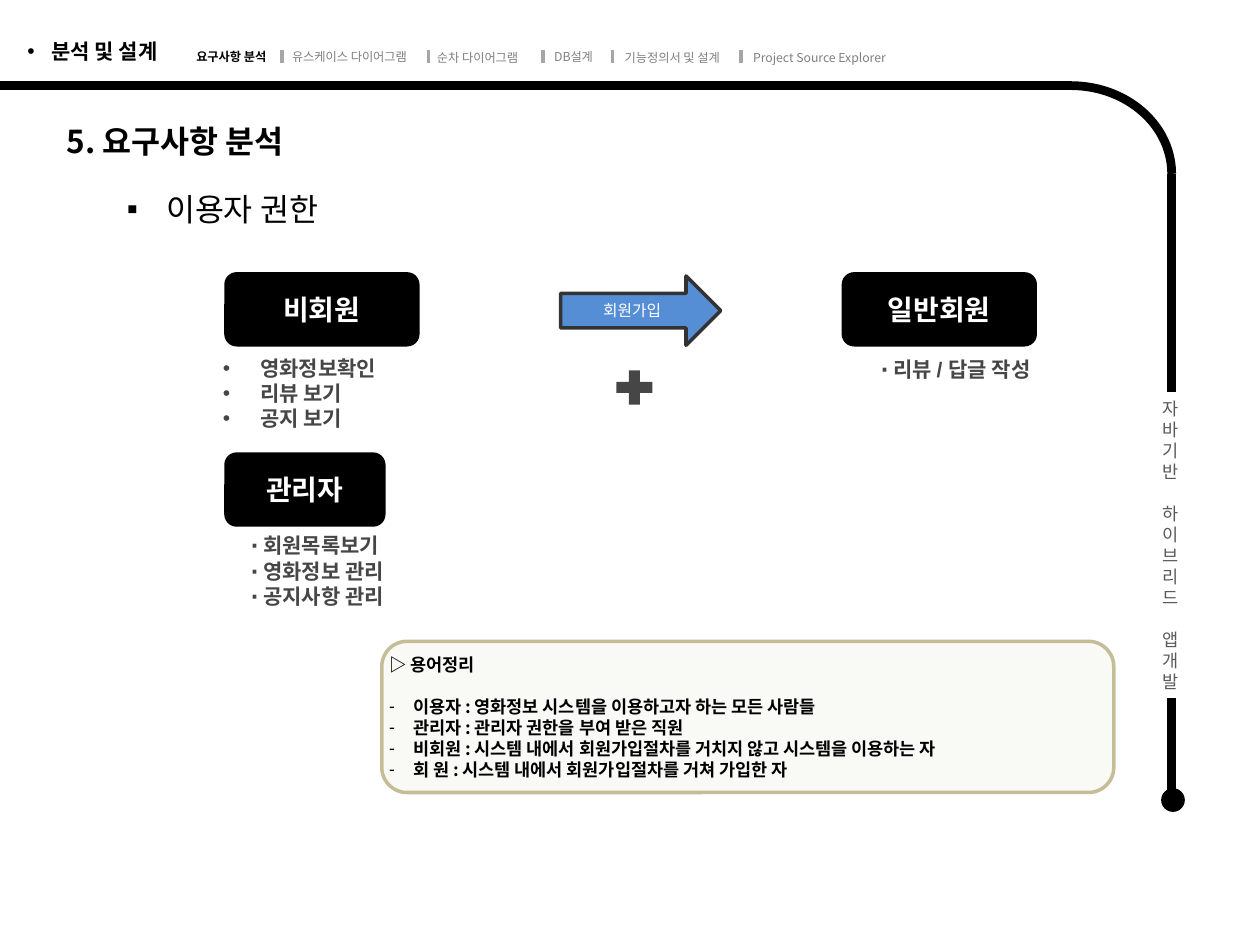
"""Build the user-permission requirements slide."""
from dataclasses import dataclass

from lxml import etree
from pptx import Presentation
from pptx.dml.color import RGBColor
from pptx.enum.shapes import MSO_CONNECTOR, MSO_SHAPE
from pptx.enum.text import MSO_ANCHOR, MSO_AUTO_SIZE, PP_ALIGN
from pptx.oxml.ns import qn
from pptx.util import Inches, Pt

LEFT, CENTER = PP_ALIGN.LEFT, PP_ALIGN.CENTER
TOP, MIDDLE = MSO_ANCHOR.TOP, MSO_ANCHOR.MIDDLE
GROW = MSO_AUTO_SIZE.SHAPE_TO_FIT_TEXT
STRAIGHT = MSO_CONNECTOR.STRAIGHT
ROUNDED, ARROW, PLUS = MSO_SHAPE.ROUNDED_RECTANGLE, MSO_SHAPE.RIGHT_ARROW, MSO_SHAPE.MATH_PLUS
ARC, OVAL = MSO_SHAPE.ARC, MSO_SHAPE.OVAL
KOREAN = "Noto Sans CJK KR"
BLACK, WHITE, GREY, DARK = "000000", "FFFFFF", "808080", "464646"


@dataclass(frozen=True)
class Style:
    size: float
    color: str = BLACK
    bold: bool = False
    font: str = KOREAN
    align: int = LEFT


@dataclass(frozen=True)
class Line:
    text: str
    bullet: str = ""
    margin: float = 0
    indent: float = 0
    before: float = 0


@dataclass(frozen=True)
class Role:
    name: str
    left: float
    top: float
    width: float


@dataclass(frozen=True)
class Tab:
    text: str
    left: float
    top: float
    width: float


ROLES = [Role("비회원", 1.78, 2.16, 1.55), Role("일반회원", 6.68, 2.16, 1.55),
         Role("관리자", 1.78, 3.59, 1.28)]
TABS = [Tab("요구사항 분석", 1.46, 0.34, 0.87), Tab("유스케이스 다이어그램", 2.22, 0.34, 1.26),
        Tab("순차 다이어그램", 3.37, 0.35, 0.94), Tab("DB설계", 4.3, 0.34, 0.55),
        Tab("기능정의서 및 설계", 4.86, 0.35, 1.18),
        Tab("Project Source Explorer", 5.88, 0.35, 1.34)]
DIVIDERS = [2.24, 3.4, 4.31, 4.86, 5.88]
FRAME_LINES = [(0, 0.68, 8.51, 0.68), (9.3, 3.11, 9.3, 1.38), (9.3, 6.35, 9.3, 5.54)]
SIDE_WORDS = ["자바기반", "하이브리드", "앱개발"]
TERMS = ["이용자 : 영화정보 시스템을 이용하고자 하는 모든 사람들",
         "관리자 : 관리자 권한을 부여 받은 직원",
         "비회원 : 시스템 내에서 회원가입절차를 거치지 않고 시스템을 이용하는 자",
         "회 원 : 시스템 내에서 회원가입절차를 거쳐 가입한 자"]


def rgb(color: str) -> RGBColor:
    return RGBColor.from_string(color)


def write(frame, lines: list[Line], style: Style) -> None:
    for number, line in enumerate(lines):
        para = frame.paragraphs[0] if number == 0 else frame.add_paragraph()
        para.alignment = style.align
        if line.before:
            para.space_before = Pt(line.before)
        if line.bullet:
            props = para._p.get_or_add_pPr()
            props.set("marL", str(Inches(line.margin)))
            props.set("indent", str(Inches(line.indent)))
            etree.SubElement(props, qn("a:buFont")).set("typeface", "Arial")
            etree.SubElement(props, qn("a:buChar")).set("char", line.bullet)
        span = para.add_run()
        span.text = line.text
        formats = {"size": Pt(style.size), "bold": style.bold, "name": style.font}
        for name, value in formats.items():
            setattr(span.font, name, value)
        span.font.color.rgb = rgb(style.color)
        etree.SubElement(span._r.get_or_add_rPr(), qn("a:ea")).set("typeface", KOREAN)


def add_text(page, place: tuple, lines: list[Line], style: Style, wrap: bool = True) -> None:
    frame = page.shapes.add_textbox(*map(Inches, place)).text_frame
    frame.word_wrap = wrap
    frame.auto_size = GROW
    write(frame, lines, style)


def add_box(page, kind: int, place: tuple, fill: str = "", border: str = "", weight: float = 2):
    box = page.shapes.add_shape(kind, *map(Inches, place))
    box.shadow.inherit = False
    if fill:
        box.fill.solid()
        box.fill.fore_color.rgb = rgb(fill)
    else:
        box.fill.background()
    if border:
        box.line.color.rgb = rgb(border)
        box.line.width = Pt(weight)
    else:
        box.line.fill.background()
    box.text_frame.vertical_anchor = MIDDLE
    return box


def add_line(page, ends: tuple, color: str, weight: float) -> None:
    line = page.shapes.add_connector(STRAIGHT, *map(Inches, ends))
    line.line.color.rgb = rgb(color)
    line.line.width = Pt(weight)
    etree.SubElement(line._element.spPr, qn("a:effectLst"))


def add_frame(page) -> None:
    for ends in FRAME_LINES:
        add_line(page, ends, BLACK, 5)
    add_box(page, ARC, (7.7, 0.68, 1.6, 1.4), border=BLACK, weight=5)
    add_box(page, OVAL, (9.23, 6.27, 0.16, 0.16), BLACK, BLACK)
    letters = [Line(letter, before=12 if row and not place else 0)
               for row, word in enumerate(SIDE_WORDS) for place, letter in enumerate(word)]
    add_text(page, (9.13, 3.11, 0.39, 2.46), letters, Style(10, "595959"))


def add_navigation(page) -> None:
    add_text(page, (0.12, 0.26, 1.5, 0.3), [Line("분석 및 설계", "•", 0.19, -0.19)],
             Style(12, bold=True))
    for number, tab in enumerate(TABS):
        style = Style(7, GREY) if number else Style(7, bold=True)
        add_text(page, (tab.left, tab.top, tab.width, 0.22), [Line(tab.text)], style)
    for x in DIVIDERS:
        add_line(page, (x, 0.5, x, 0.4), "A6A6A6", 2)


def add_title(page) -> None:
    title = page.shapes.title
    place = {"left": 0.43, "top": 0.92, "width": 2.36, "height": 0.4}
    for name, value in place.items():
        setattr(title, name, Inches(value))
    frame = title.text_frame
    for name, value in {"vertical_anchor": TOP, "word_wrap": True, "auto_size": GROW}.items():
        setattr(frame, name, value)
    write(frame, [Line("5. 요구사항 분석")], Style(18, bold=True))


def add_roles(page) -> None:
    for role in ROLES:
        box = add_box(page, ROUNDED, (role.left, role.top, role.width, 0.59), BLACK)
        write(box.text_frame, [Line(role.name)], Style(16, WHITE, True, align=CENTER))
    arrow = add_box(page, ARROW, (4.45, 2.19, 1.27, 0.55), "558ED5", "333333")
    write(arrow.text_frame, [Line("회원가입")], Style(9, WHITE, align=CENTER))
    add_box(page, PLUS, (4.84, 2.89, 0.39, 0.37), DARK)
    style = Style(12, DARK, True, "Arial")
    guest = [Line(f" {text}", "•", 0.31, -0.26) for text in ("영화정보확인", "리뷰 보기", "공지 보기")]
    admin = [Line(f"∙ {text}") for text in ("회원목록보기", "영화정보 관리", "공지사항 관리")]
    add_text(page, (1.62, 2.77, 2.44, 0.71), guest, style)
    add_text(page, (1.89, 4.18, 2.11, 0.71), admin, style)
    add_text(page, (6.89, 2.78, 1.79, 0.3), [Line("∙ 리뷰 / 답글 작성")], style)


def add_glossary(page) -> None:
    box = add_box(page, ROUNDED, (3.03, 5.09, 5.81, 1.2), "EEECE1", "C4BD97")
    color = box._element.spPr.find(qn("a:solidFill")).find(qn("a:srgbClr"))
    etree.SubElement(color, qn("a:alpha")).set("val", "30000")
    for side in ("left", "top", "right", "bottom"):
        setattr(box.text_frame, f"margin_{side}", 0)
    terms = [Line(term, "-", 0.19, -0.19, 0 if number else 12)
             for number, term in enumerate(TERMS)]
    write(box.text_frame, [Line("▷ 용어정리"), *terms], Style(10, bold=True))


def main() -> None:
    deck = Presentation()
    deck.slide_width, deck.slide_height = Inches(10), Inches(7.5)
    page = deck.slides.add_slide(deck.slide_layouts[5])
    add_frame(page)
    add_navigation(page)
    add_title(page)
    add_text(page, (0.91, 1.46, 1.74, 0.4), [Line("이용자 권한", "▪", 0.31, -0.31)],
             Style(18), wrap=False)
    add_roles(page)
    add_glossary(page)
    deck.save("out.pptx")


if __name__ == "__main__":
    main()
